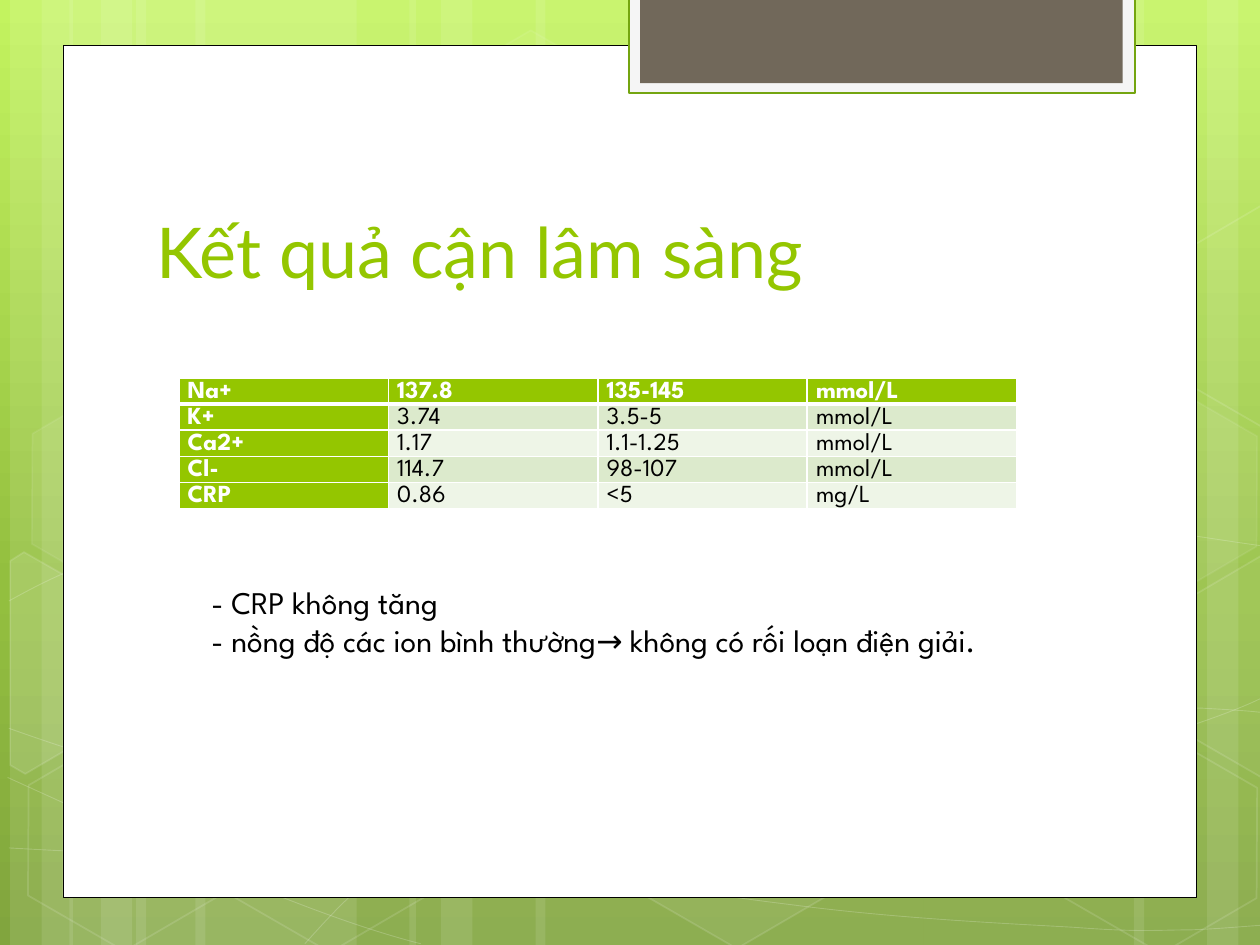
from math import cos, radians, sin
from lxml.etree import SubElement
from pptx import Presentation
from pptx.dml.color import RGBColor
from pptx.enum.shapes import MSO_SHAPE
from pptx.enum.text import MSO_ANCHOR, MSO_AUTO_SIZE, PP_ALIGN
from pptx.oxml import parse_xml
from pptx.oxml.ns import nsdecls, qn
from pptx.util import Inches, Pt

WHITE, BLACK, GREEN = "FFFFFF", "000000", "94C600"
BODY_FONT = "League Spartan"
TILT = 30

# left, width
STRIPES = [(1.08, 1.75), (0.08, 0.5), (0.33, 0.83), (1.55, 1.75), (0.55, 0.5), (0.8, 0.83),
           (7.33, 1.75), (9.58, 0.5), (9, 0.83), (4.25, 3.08), (3.25, 0.5), (3.5, 0.83)]
# start point, then Bézier segments of two controls and an end
CURVES = [
    [(0.07, 6.73), (0.61, 6.76), (1.15, 6.79), (1.9, 6.78), (2.65, 6.77), (3.58, 6.75),
     (4.58, 6.65), (5.58, 6.55), (7, 6.36), (7.92, 6.17), (8.83, 5.98), (9.77, 5.68),
     (10.07, 5.51)],
    [(0.07, 4.77), (0.36, 4.61), (0.65, 4.46), (1.21, 4.31), (1.78, 4.16), (2.59, 3.94),
     (3.47, 3.87), (4.36, 3.8), (5.44, 3.79), (6.54, 3.87), (7.64, 3.95), (9.47, 4.26),
     (10.07, 4.34)],
    [(0.06, 6.17), (1.27, 6.72), (2.47, 7.27), (3.34, 7.49)],
    [(0.07, 5.78), (0.38, 5.89), (0.7, 6), (1.28, 6.16), (1.86, 6.31), (2.73, 6.56),
     (3.57, 6.73), (4.4, 6.9), (5.45, 7.08), (6.28, 7.18), (7.11, 7.29), (8, 7.33),
     (8.53, 7.36), (9.05, 7.4), (9.19, 7.38), (9.45, 7.38), (9.71, 7.37), (9.89, 7.35),
     (10.07, 7.34)],
    [(2.42, 7.49), (2.6, 7.29), (2.78, 7.09), (3.02, 6.91), (3.26, 6.73), (3.6, 6.53),
     (3.88, 6.39), (4.16, 6.25), (4.33, 6.19), (4.7, 6.09), (5.06, 5.99), (5.73, 5.85),
     (6.08, 5.78), (6.44, 5.71), (6.49, 5.71), (6.8, 5.69), (7.11, 5.66), (7.6, 5.63),
     (7.94, 5.62), (8.29, 5.61), (8.86, 5.62), (8.86, 5.62), (9.53, 5.62), (9.71, 5.63),
     (9.88, 5.64), (9.97, 5.65), (10.06, 5.66), (10.03, 5.65), (10.06, 5.66)],
]
STRAIGHT_END = (9.53, 5.62)  # the one knot reached by a straight line
# left, top, fill opacity, line opacity
HEXAGONS = [(3.34, 0.36, 4, 8), (4.97, 5.89, 6, 12), (0.11, 5.91, 0, 12), (0.14, 3.12, 7, 8),
            (1.74, 5.92, 0, 12), (7.53, 4.53, 10, 12), (8.34, 5.93, 0, 12), (8.34, 3.14, 7, 8)]
# centre, corners, fill opacity
CUT_HEXAGONS = [
    ((0.36, 5.35), [(0.08, 4.45), (0.19, 4.38), (0.96, 4.82), (0.95, 5.7), (0.2, 6.14),
                    (0.08, 6.07)], 10),
    ((9.85, 5.2), [(9.26, 4.85), (10.01, 4.41), (10.09, 4.46), (10.09, 6.13), (10.02, 6.17),
                   (9.26, 5.73)], 4),
    ((9.85, 2.41), [(9.26, 2.07), (10.01, 1.63), (10.1, 1.68), (10.09, 3.35), (10.02, 3.39),
                    (9.26, 2.95)], 0),
]
RESULTS = [("Na+", "137.8", "135-145", "mmol/L"),
           ("K+", "3.74", "3.5-5", "mmol/L"),
           ("Ca2+", "1.17", "1.1-1.25", "mmol/L"),
           ("Cl-", "114.7", "98-107", "mmol/L"),
           ("CRP", "0.86", "<5", "mg/L")]
FINDINGS = ["- CRP không tăng",
            "- nồng độ các ion bình thường→ không có rối loạn điện giải."]


def rgb(color):
    return RGBColor.from_string(color)


def paint(fill, color, opacity=100):
    if not opacity:
        fill.background()
        return
    fill.solid()
    fill.fore_color.rgb = rgb(color)
    if opacity < 100:
        clr = fill._xPr.find(qn("a:solidFill"))[0]
        SubElement(clr, qn("a:alpha"), val=str(opacity * 1000))


def style(shape, fill=WHITE, opacity=100, line=WHITE, width=1, line_opacity=100):
    shape.shadow.inherit = False
    paint(shape.fill, fill, opacity)
    paint(shape.line.fill, line, line_opacity)
    if line_opacity:
        shape.line.width = Pt(width)


def add_panel(slide, box, kind=MSO_SHAPE.RECTANGLE, **look):
    panel = slide.shapes.add_shape(kind, *map(Inches, box))
    style(panel, **look)
    return panel


def add_outline(slide, points, closed, **look):
    start, *others = [(Inches(x), Inches(y)) for x, y in points]
    builder = slide.shapes.build_freeform(*start)
    builder.add_line_segments(others, close=closed)
    outline = builder.convert_to_shape()
    style(outline, **look)
    return outline


def add_curve(slide, knots, **look):
    """Draw the knots as an outline, then join each three into a Bézier segment."""
    curve = add_outline(slide, knots, False, **look)
    lines = list(curve._element.iter(qn("a:lnTo")))
    i = 0
    while i < len(lines):
        if knots[i + 1] == STRAIGHT_END:
            i += 1
            continue
        bezier = lines[i]
        segment = SubElement(bezier.getparent(), qn("a:cubicBezTo"))
        bezier.addprevious(segment)
        for line in lines[i:i + 3]:
            segment.append(line[0])
            line.getparent().remove(line)
        i += 3


def turn_back(point, centre):
    """Undo the tilt of a point around a centre."""
    x, y = point[0] - centre[0], point[1] - centre[1]
    c, s = cos(radians(TILT)), sin(radians(TILT))
    return centre[0] + x * c + y * s, centre[1] - x * s + y * c


def set_font(font, **values):
    font.color.rgb = rgb(values.pop("color"))
    for key, value in values.items():
        setattr(font, key, value)


def add_backdrop(slide, height):
    gradient = slide.background.fill
    gradient.gradient()
    gradient.gradient_angle = 270
    stops = slide.background._cSld.find(".//" + qn("a:gsLst"))
    for stop in list(stops):
        stops.remove(stop)
    for position, color in ((0, "C3F35F"), (62, "93BF3F"), (100, "81A53E")):
        stop = SubElement(stops, qn("a:gs"), pos=str(position * 1000))
        SubElement(stop, qn("a:srgbClr"), val=color)

    for left, width in STRIPES:
        add_panel(slide, (left, 0, width, height), opacity=10, line_opacity=0)
    for knots in CURVES:
        add_curve(slide, knots, opacity=0, width=0.5, line_opacity=20)
    for left, top, opacity, line_opacity in HEXAGONS:
        hexagon = add_panel(slide, (left, top, 1.75, 1.52), MSO_SHAPE.HEXAGON,
                            opacity=opacity, line_opacity=line_opacity)
        hexagon.rotation = TILT
        hexagon.adjustments[0] = 0.285
    for centre, corners, opacity in CUT_HEXAGONS:
        upright = [turn_back(corner, centre) for corner in corners]
        add_outline(slide, upright, True, opacity=opacity, line_opacity=12).rotation = TILT


def add_page(slide, box):
    left, top, width, _ = box
    add_panel(slide, box, line=BLACK, width=0.5)
    tab_left, tab_top = left + width - 4.51, top - 0.38
    add_panel(slide, (tab_left, tab_top, 4.02, 0.76), fill="F5F5F5", line="74A510", width=1.25)
    add_panel(slide, (tab_left + 0.09, tab_top, 3.83, 0.68), fill="71685A", line_opacity=0)


def add_title(slide, box, text):
    title = slide.shapes.title
    slide.shapes._spTree.append(title._element)  # in front of the page
    title.left, title.top, title.width, title.height = map(Inches, box)
    frame = title.text_frame
    frame.text = text
    frame.auto_size = MSO_AUTO_SIZE.NONE
    frame.vertical_anchor = MSO_ANCHOR.BOTTOM
    frame.paragraphs[0].alignment = PP_ALIGN.LEFT
    set_font(frame.paragraphs[0].font, name="Lato", size=Pt(40), color=GREEN)


def set_borders(cell, **widths):
    for i, (side, width) in enumerate(widths.items()):
        cell._tc.get_or_add_tcPr().insert(i, parse_xml(
            f'<a:ln{side} {nsdecls("a")} w="{Pt(width)}"><a:solidFill>'
            f'<a:srgbClr val="{WHITE}"/></a:solidFill></a:ln{side}>'))


def add_results(slide, box, rows):
    table = slide.shapes.add_table(len(rows), len(rows[0]), *map(Inches, box)).table
    for r, row in enumerate(rows):
        for c, text in enumerate(row):
            cell = table.cell(r, c)
            heading = r == 0 or c == 0
            paint(cell.fill, GREEN if heading else ("EEF5E7", "DCEACC")[r % 2])
            set_borders(cell, L=1, R=1, T=3 if r == 1 else 1, B=3 if r == 0 else 1)
            cell.margin_left = cell.margin_right = Inches(0.07)
            cell.margin_top = cell.margin_bottom = 0
            cell.text = text
            paragraph = cell.text_frame.paragraphs[0]
            paragraph.line_spacing = 1.15
            set_font(paragraph.font, name=BODY_FONT, size=Pt(14), bold=heading,
                     color=WHITE if heading else BLACK)


def add_findings(slide, box, findings):
    frame = slide.shapes.add_textbox(*map(Inches, box)).text_frame
    frame.word_wrap = True
    frame.auto_size = MSO_AUTO_SIZE.SHAPE_TO_FIT_TEXT
    frame.text = "\n".join(findings)
    for paragraph in frame.paragraphs:
        set_font(paragraph.font, name=BODY_FONT, size=Pt(18), color=BLACK)


def main():
    deck = Presentation()
    deck.slide_width, deck.slide_height = Inches(10), Inches(7.5)
    slide = deck.slides.add_slide(deck.slide_layouts.get_by_name("Title Only"))
    add_backdrop(slide, 7.5)
    add_page(slide, (0.5, 0.36, 9, 6.76))
    add_title(slide, (1.14, 1.12, 7.68, 1.25), "Kết quả cận lâm sàng")
    add_results(slide, (1.42, 3, 6.65, 1), RESULTS)
    add_findings(slide, (1.58, 4.58, 7, 1.31), FINDINGS)
    deck.save("out.pptx")


if __name__ == "__main__":
    main()
